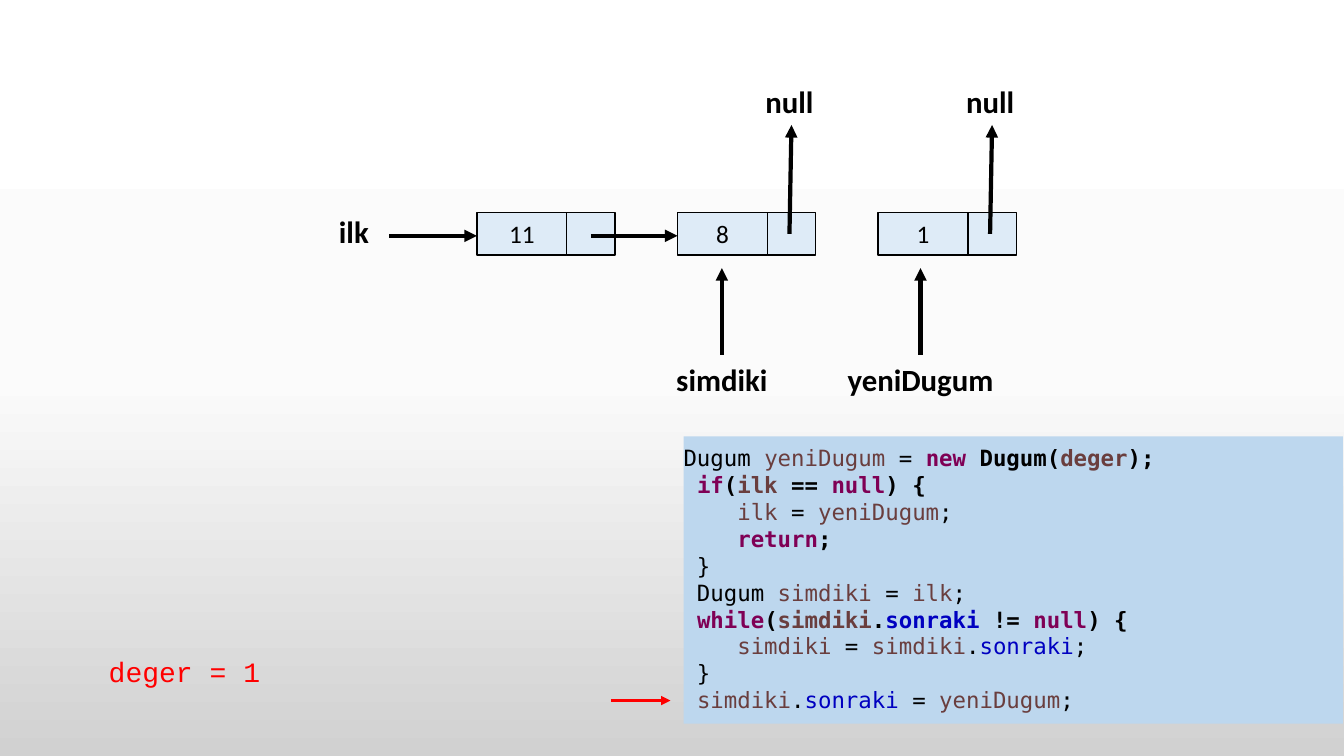
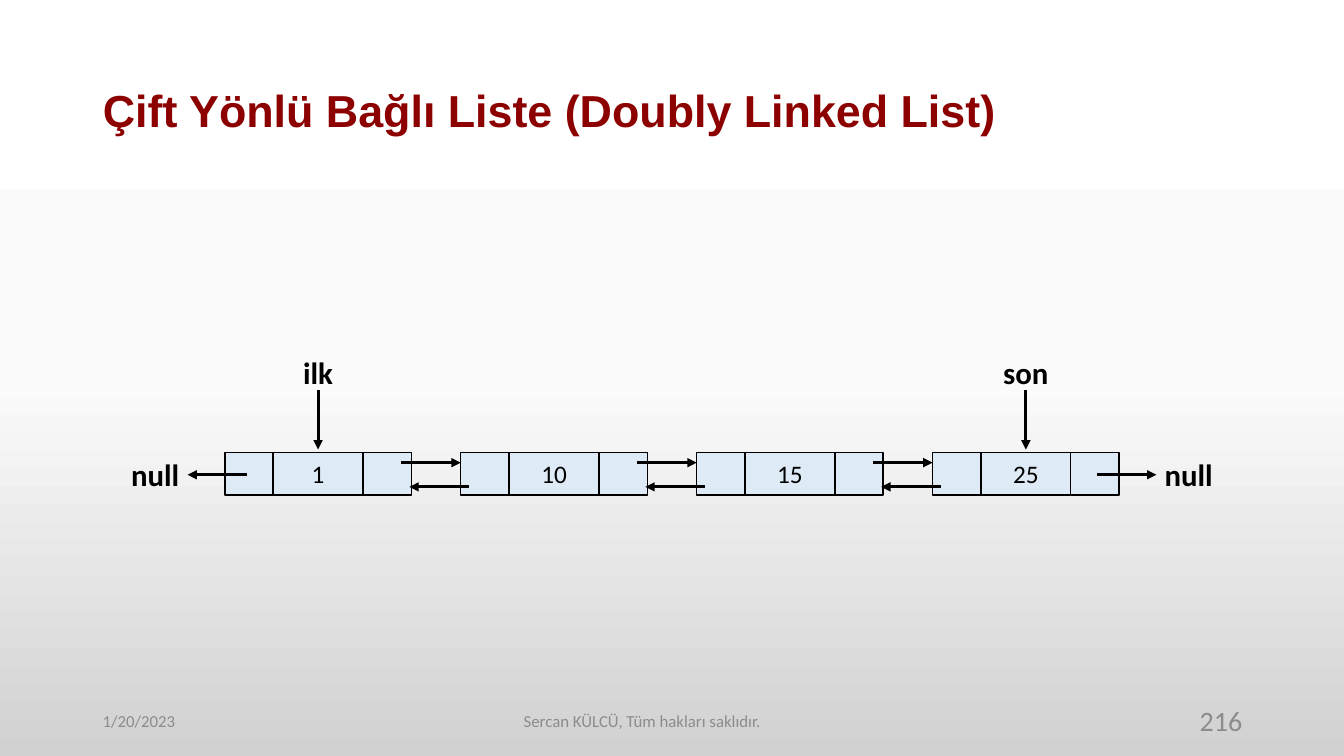
"""Build two slides on singly and doubly linked lists."""
from copy import deepcopy
from itertools import groupby

from lxml.etree import SubElement
from pptx import Presentation
from pptx.dml.color import RGBColor
from pptx.enum.shapes import MSO_CONNECTOR, MSO_SHAPE
from pptx.enum.text import MSO_ANCHOR, PP_ALIGN
from pptx.oxml.ns import qn
from pptx.util import Inches, Pt

COLORS = {
    "black": "000000", "title": "8C0000", "footer": "8C8C8C", "red": "FF0000",
    "node": "DEEBF7", "code": "BDD7EE",
    "keyword": "7F0055", "variable": "6A3E3E", "field": "0000C0",
}
BACKGROUND = [(0, "FFFFFF"), (0.5, "FBFBFB"), (1, "D1D1D1")]
WIDTH, HEIGHT = 13.33, 7.5
DATA_WIDTH, LINK_WIDTH, NODE_HEIGHT = 0.89, 0.48, 0.42
LABEL_WIDTH, LABEL_HEIGHT = 1.66, 0.47

CODE = [
    "Dugum yeniDugum = new Dugum(deger);",
    " if(ilk == null) {",
    "    ilk = yeniDugum;",
    "    return;",
    " }",
    " Dugum simdiki = ilk;",
    " while(simdiki.sonraki != null) {",
    "    simdiki = simdiki.sonraki;",
    " }",
    " simdiki.sonraki = yeniDugum;",
]
TOKENS = {
    "keyword": ("new", "if", "null", "return", "while"),
    "variable": ("yeniDugum", "ilk", "deger", "simdiki"),
    "field": ("sonraki",),
}
TOKEN_COLORS = {word: kind for kind, words in TOKENS.items() for word in words}

SINGLE_VALUES = ["11", "8", "1"]
SINGLE_LEFT, SINGLE_TOP, SINGLE_PITCH = 4.73, 2.11, 1.99
SINGLE_POINTERS = [("simdiki", 7.16), ("yeniDugum", 9.13)]
DOUBLE_VALUES = ["1", "10", "15", "25"]
DOUBLE_LEFT, DOUBLE_TOP, DOUBLE_PITCH = 2.23, 4.49, 2.34
DOUBLE_POINTERS = [("ilk", 0), ("son", 3)]
TITLE = "Çift Yönlü Bağlı Liste (Doubly Linked List)"
FOOTERS = [
    ("1/20/2023", 0.92, 3, PP_ALIGN.LEFT, 12),
    ("Sercan KÜLCÜ, Tüm hakları saklıdır.", 2.58, 7.58, PP_ALIGN.CENTER, 12),
    ("216", 9.42, 3, PP_ALIGN.RIGHT, 20),
]


def rgb(name):
    """Return the named colour."""
    return RGBColor.from_string(COLORS[name])


def add_run(paragraph, text, size=18, font="Calibri", color="black", bold=False):
    """Add one formatted run to a paragraph."""
    run = paragraph.add_run()
    run.text = text
    run.font.size, run.font.name, run.font.bold = Pt(size), font, bold
    run.font.color.rgb = rgb(color)


def write(shape, text, align=PP_ALIGN.CENTER, anchor=MSO_ANCHOR.MIDDLE, wrap=True, **style):
    """Write one formatted paragraph into a shape."""
    frame = shape.text_frame
    frame.word_wrap, frame.vertical_anchor = wrap, anchor
    paragraph = frame.paragraphs[0]
    paragraph.alignment = align
    add_run(paragraph, text, **style)
    return paragraph


def add_text(slide, text, left, top, width, height, **style):
    """Add a text box."""
    box = slide.shapes.add_textbox(*map(Inches, (left, top, width, height)))
    write(box, text, **style)


def add_label(slide, text, center, top):
    """Add a bold label centred on a point."""
    add_text(slide, text, center - LABEL_WIDTH / 2, top, LABEL_WIDTH, LABEL_HEIGHT,
             anchor=MSO_ANCHOR.TOP, wrap=False, size=22, bold=True)


def add_box(slide, left, top, width, height, fill, outline=None):
    """Add a flat rectangle."""
    box = slide.shapes.add_shape(MSO_SHAPE.RECTANGLE, *map(Inches, (left, top, width, height)))
    box.shadow.inherit = False
    box.fill.solid()
    box.fill.fore_color.rgb = rgb(fill)
    if outline:
        box.line.color.rgb = rgb(outline)
        box.line.width = Pt(1)
    else:
        box.line.fill.background()
    return box


def add_arrow(slide, start, end, width=3, color="black"):
    """Add a straight arrow that points at its end."""
    arrow = slide.shapes.add_connector(MSO_CONNECTOR.STRAIGHT, *map(Inches, (*start, *end)))
    arrow.line.color.rgb = rgb(color)
    arrow.line.width = Pt(width)
    properties = arrow.element.spPr
    SubElement(properties.find(qn("a:ln")), qn("a:tailEnd"), type="triangle")
    SubElement(properties, qn("a:effectLst"))


def add_node(slide, value, left, top, double=False):
    """Add a list node with one or two link cells."""
    data_left = left + LINK_WIDTH if double else left
    data = add_box(slide, data_left, top, DATA_WIDTH, NODE_HEIGHT, "node", "black")
    write(data, value)
    link_lefts = [data_left + DATA_WIDTH] + ([left] if double else [])
    for link_left in link_lefts:
        add_box(slide, link_left, top, LINK_WIDTH, NODE_HEIGHT, "node", "black")


def add_code(slide):
    """Add the code panel with coloured tokens, bold from the first keyword on."""
    panel = add_box(slide, 6.78, 4.33, 6.54, 2.85, "code")
    frame = panel.text_frame
    frame.word_wrap, frame.vertical_anchor = True, MSO_ANCHOR.TOP
    frame.margin_left = frame.margin_right = 0
    frame.margin_top = frame.margin_bottom = Inches(0.08)
    for index, line in enumerate(CODE):
        paragraph = frame.add_paragraph() if index else frame.paragraphs[0]
        paragraph.alignment, paragraph.line_spacing = PP_ALIGN.LEFT, Pt(19.2)
        bold = False
        for _, letters in groupby(line, str.isalnum):
            token = "".join(letters)
            color = TOKEN_COLORS.get(token, "black")
            bold = bold or color == "keyword"
            add_run(paragraph, token, size=16, font="DejaVu Sans Mono", color=color, bold=bold)


def build_single(presentation):
    """Build the insertion step of the singly linked list."""
    slide = presentation.slides.add_slide(presentation.slide_layouts[6])
    add_code(slide)
    lefts = [SINGLE_LEFT + index * SINGLE_PITCH for index in range(len(SINGLE_VALUES))]
    for value, left in zip(SINGLE_VALUES, lefts):
        add_node(slide, value, left, SINGLE_TOP)
    middle = SINGLE_TOP + 0.23
    add_label(slide, "ilk", 3.51, 2.06)
    add_arrow(slide, (3.86, middle), (lefts[0], middle))
    add_arrow(slide, (lefts[0] + 1.13, middle), (lefts[1], middle))
    for left in lefts[1:]:
        add_label(slide, "null", left + 1.11, 0.77)
        add_arrow(slide, (left + 1.11, 2.32), (left + 1.13, 1.24))
    for name, center in SINGLE_POINTERS:
        add_label(slide, name, center, 3.53)
        add_arrow(slide, (center, 3.52), (center, 2.66))
    add_text(slide, "deger = 1", 0.98, 6.44, 1.72, 0.44, align=PP_ALIGN.LEFT,
             anchor=MSO_ANCHOR.TOP, wrap=False, size=20, font="Courier New", color="red")
    add_arrow(slide, (6.06, 6.95), (6.65, 6.95), width=2.25, color="red")


def build_double(presentation):
    """Build the doubly linked list."""
    slide = presentation.slides.add_slide(presentation.slide_layouts[5])
    title = slide.shapes.title
    title.left, title.top, title.width, title.height = map(Inches, (0.92, 0.4, 11.5, 1.45))
    paragraph = write(title, TITLE, align=PP_ALIGN.LEFT, size=32, font="Arial",
                      color="title", bold=True)
    paragraph.line_spacing = 0.9
    for text, left, width, align, size in FOOTERS:
        add_text(slide, text, left, 6.95, width, 0.4, align=align, size=size, color="footer")

    lefts = [DOUBLE_LEFT + index * DOUBLE_PITCH for index in range(len(DOUBLE_VALUES))]
    node_width = DATA_WIDTH + 2 * LINK_WIDTH
    for value, left in zip(DOUBLE_VALUES, lefts):
        add_node(slide, value, left, DOUBLE_TOP, double=True)
    forward, backward, middle = (DOUBLE_TOP + drop for drop in (0.1, 0.34, 0.22))
    for left, following in zip(lefts, lefts[1:]):
        add_arrow(slide, (following - 0.59, forward), (following, forward), width=2.25)
        add_arrow(slide, (following + 0.08, backward), (left + node_width - 0.02, backward),
                  width=2.25)
    first, last = lefts[0] + 0.22, lefts[-1] + node_width - 0.22
    for start, direction in ((first, -1), (last, 1)):
        add_arrow(slide, (start, middle), (start + direction * 0.59, middle), width=2.25)
        add_label(slide, "null", start + direction * 0.91, 4.47)
    for name, index in DOUBLE_POINTERS:
        center = lefts[index] + node_width / 2
        add_label(slide, name, center, 3.46)
        add_arrow(slide, (center, 3.87), (center, 4.46), width=2.25)


def set_background(master):
    """Give the master its three-stop vertical gradient."""
    fill = master.background.fill
    fill.gradient()
    fill.gradient_angle = 270
    stop_list = next(master.element.cSld.iter(qn("a:gsLst")))
    stop_list.append(deepcopy(stop_list[0]))
    for stop, (position, color) in zip(fill.gradient_stops, BACKGROUND):
        stop.position = position
        stop.color.rgb = RGBColor.from_string(color)


def main():
    """Build and save the presentation."""
    presentation = Presentation()
    presentation.slide_width, presentation.slide_height = Inches(WIDTH), Inches(HEIGHT)
    set_background(presentation.slide_master)
    build_single(presentation)
    build_double(presentation)
    presentation.save("out.pptx")


if __name__ == "__main__":
    main()
